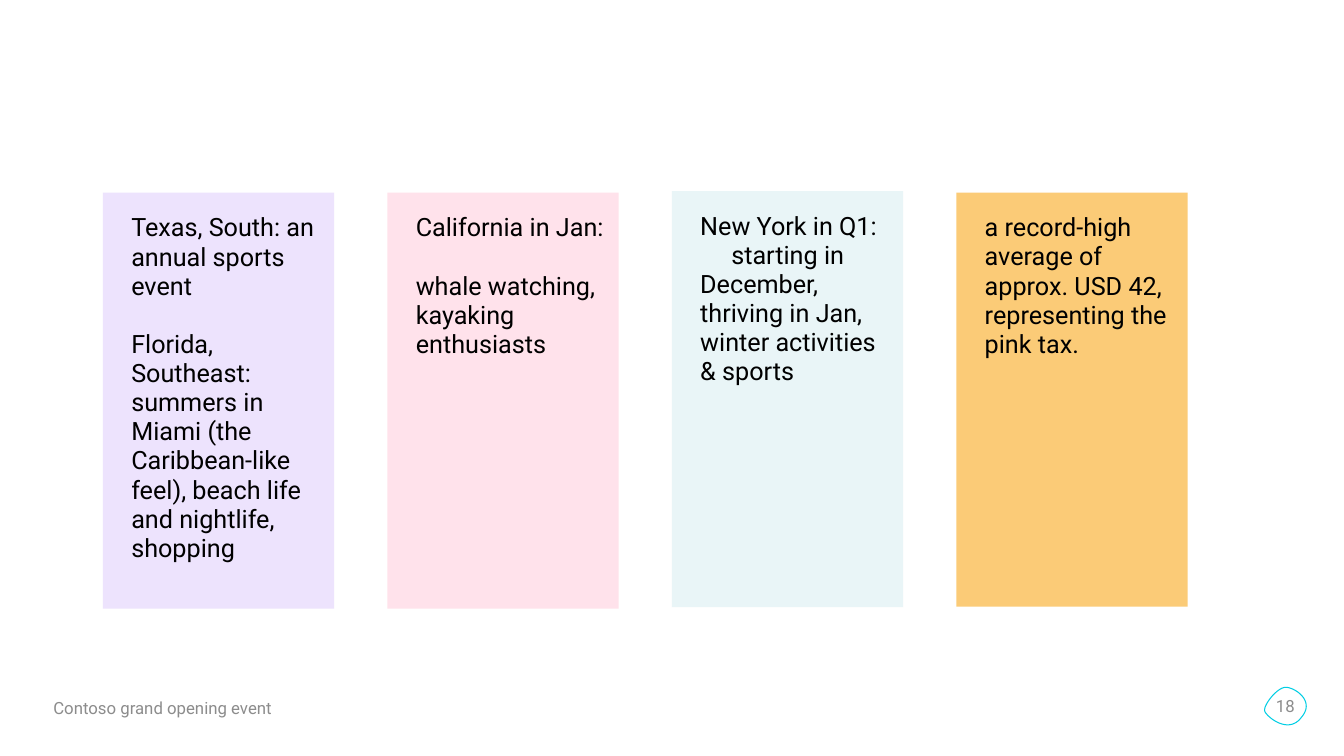
from dataclasses import dataclass

from pptx import Presentation
from pptx.dml.color import RGBColor
from pptx.enum.shapes import MSO_SHAPE as Shape
from pptx.enum.text import MSO_ANCHOR as Anchor, PP_ALIGN as Align
from pptx.slide import Slide
from pptx.text.text import TextFrame, _Paragraph as Para
from pptx.util import Pt

HUES = {
    "lilac": "EDE3FD", "pink": "FFE2EB", "mint": "E9F5F7", "amber": "FBCB77",
    "black": "000000", "gray": "8C8C8C", "cyan": "00CEE4",
}
FONT = "Roboto"
LEFT, STEP, WIDE = 73.6, 203.2, 165.2
LINE = 20.8

Point = tuple[float, float]


@dataclass
class Card:
    body: str
    top: float
    high: float
    fill: str
    gap: float = 0
    indent: float = 0


CARDS = [
    Card("Texas, South: an annual sports event\n"
         "Florida, Southeast: summers in Miami (the Caribbean-like feel), "
         "beach life and nightlife, shopping",
         137.6, 297.2, "lilac", gap=LINE),
    Card("California in Jan:\nwhale watching, kayaking enthusiasts",
         137.6, 297.2, "pink", gap=LINE),
    Card("New York in Q1:\nstarting in December, thriving in Jan, "
         "winter activities & sports",
         136.5, 297.2, "mint", indent=22.2),
    Card("a record-high average of approx. USD 42, representing the pink tax.",
         137.5, 295.9, "amber"),
]

# Start of the badge outline, then its cubic curves, in points
START: Point = (919.4, 491)
CURVES: list[tuple[Point, Point, Point]] = [
    ((925.9, 491.8), (939.6, 501.1), (929.5, 512.6)),
    ((920.2, 524.9), (905, 511.9), (903.6, 508.3)),
    ((901.4, 504.7), (913, 489.6), START),
]


def hue(name: str) -> RGBColor:
    return RGBColor.from_string(HUES[name])


def style(para: Para, size: float, color: str) -> None:
    for run in para.runs:
        font = run.font
        font.name, font.size = FONT, Pt(size)
        font.color.rgb = hue(color)


def inset(frame: TextFrame, left: float, top: float, right: float, low: float) -> None:
    frame.word_wrap = True
    frame.margin_left, frame.margin_top = Pt(left), Pt(top)
    frame.margin_right, frame.margin_bottom = Pt(right), Pt(low)


def add_card(slide: Slide, card: Card, left: float) -> None:
    box = slide.shapes.add_shape(
        Shape.RECTANGLE, Pt(left), Pt(card.top), Pt(WIDE), Pt(card.high))
    box.shadow.inherit = False
    box.fill.solid()
    box.fill.fore_color.rgb = hue(card.fill)
    box.line.fill.background()
    frame = box.text_frame
    inset(frame, 20.2, 14.4, 7.2, 3.6)
    frame.vertical_anchor = Anchor.TOP
    frame.text = card.body
    for num, para in enumerate(frame.paragraphs):
        para.alignment, para.line_spacing = Align.LEFT, Pt(LINE)
        if num and card.gap:
            para.space_before = Pt(card.gap)
        if num and card.indent:
            para._p.get_or_add_pPr().set("indent", str(Pt(card.indent)))
        style(para, 18, "black")


def trace(steps: int = 24) -> list[Point]:
    """Sample the badge curves as points."""
    dots: list[Point] = []
    last = START
    for one, two, end in CURVES:
        for num in range(1, steps + 1):
            t = num / steps
            u = 1 - t
            x, y = (u**3 * a + 3 * u * u * t * b + 3 * u * t * t * c + t**3 * d
                    for a, b, c, d in zip(last, one, two, end))
            dots.append((x, y))
        last = end
    return dots


def add_badge(slide: Slide) -> None:
    pen = slide.shapes.build_freeform(Pt(START[0]), Pt(START[1]))
    pen.add_line_segments([(Pt(x), Pt(y)) for x, y in trace()], close=True)
    badge = pen.convert_to_shape()
    badge.shadow.inherit = False
    badge.fill.background()
    badge.line.color.rgb = hue("cyan")
    badge.line.width = Pt(0.75)
    frame = badge.text_frame
    inset(frame, 0, 0, 0, 0)
    frame.vertical_anchor = Anchor.MIDDLE
    frame.text = "18"
    frame.paragraphs[0].alignment = Align.CENTER
    style(frame.paragraphs[0], 12, "gray")


def add_foot(slide: Slide) -> None:
    box = slide.shapes.add_textbox(Pt(31), Pt(494.6), Pt(193), Pt(21.6))
    frame = box.text_frame
    frame.word_wrap = True
    frame.vertical_anchor = Anchor.MIDDLE
    frame.text = "Contoso grand opening event"
    style(frame.paragraphs[0], 12, "gray")


def main() -> None:
    deck = Presentation()
    deck.slide_width, deck.slide_height = Pt(960), Pt(540)
    slide = deck.slides.add_slide(deck.slide_layouts[6])
    for num, card in enumerate(CARDS):
        add_card(slide, card, LEFT + num * STEP)
    add_foot(slide)
    add_badge(slide)
    deck.save("out.pptx")


if __name__ == "__main__":
    main()
